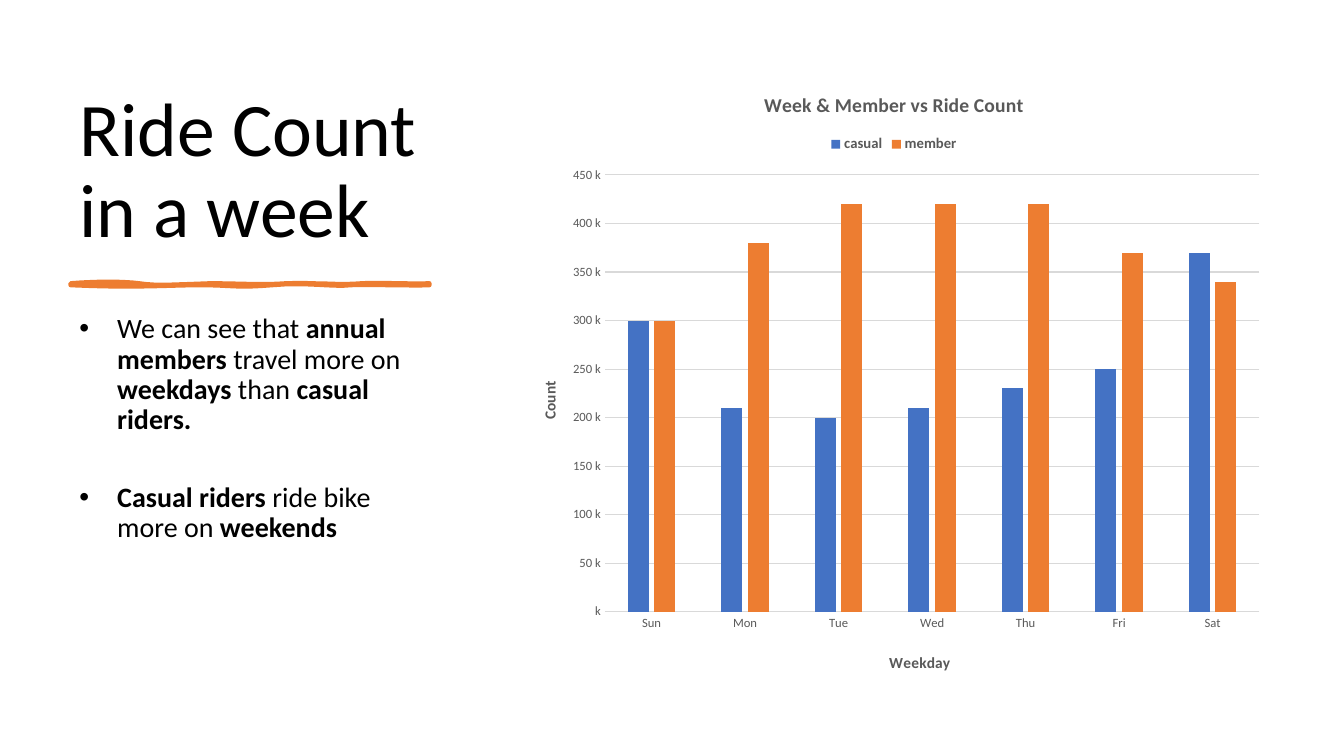
from lxml import etree
from pptx import Presentation
from pptx import util as u
from pptx.chart import data as cd
from pptx.dml.color import RGBColor
from pptx.enum import chart as ce, text as te
from pptx.oxml import ns

PX = 9525  # EMU per px, 96 px to the inch
COLORS = {"text": "000000", "chart_text": "595959", "grid": "D9D9D9",
          "casual": "4472C4", "member": "ED7D31", "rule": "ED7D31"}
DAYS = ["Sun", "Mon", "Tue", "Wed", "Thu", "Fri", "Sat"]
RIDES = {
    "casual": [300000, 210000, 200000, 210000, 230000, 250000, 370000],
    "member": [300000, 380000, 420000, 420000, 420000, 370000, 340000],
}
BULLETS = [
    [("We can see that ", False), ("annual members ", True),
     ("travel more on ", False), ("weekdays", True), (" than ", False),
     ("casual riders.", True)],
    [("Casual riders ", True), ("ride bike more on ", False),
     ("weekends", True)],
]
# Bezier control points of the brush stroke, in tenths of a px
STROKE = [
    (672, 2698), (931, 2678), (1162, 2678), (1325, 2698),
    (1488, 2726), (1699, 2707), (2006, 2698),
    (2314, 2698), (2496, 2717), (2726, 2698),
    (2957, 2688), (3254, 2717), (3446, 2698),
    (3638, 2688), (3955, 2707), (4090, 2698),
    (4090, 2707), (4090, 2717), (4090, 2717),
    (3917, 2726), (3494, 2707), (3341, 2717),
    (3187, 2736), (2918, 2688), (2592, 2717),
    (2256, 2746), (2218, 2717), (1910, 2717),
    (1594, 2717), (1267, 2746), (672, 2717),
]


def rgb(name):
    return RGBColor.from_string(COLORS[name])


def set_font(font, size, color="text", bold=False):
    font.name, font.size, font.bold = "Calibri", u.Pt(size), bold
    font.color.rgb = rgb(color)


def add_text(p, content, **style):
    r = p.add_run()
    r.text = content
    set_font(r.font, **style)


def bezier_points(controls, steps=8):
    """Sample a chain of cubic curves that share their end points."""
    points = [controls[0]]
    for i in range(0, len(controls) - 1, 3):
        for k in range(1, steps + 1):
            t = k / steps
            weights = ((1 - t) ** 3, 3 * t * (1 - t) ** 2,
                       3 * t * t * (1 - t), t ** 3)
            points.append(tuple(
                round(sum(w * c[axis] for w, c in zip(weights, controls[i:i + 4])))
                for axis in (0, 1)))
    return points


def place(element, **fractions):
    """Fix the place of a chart part, in fractions of the chart."""
    layout = element.find(ns.qn("c:layout"))
    if layout is None:
        layout = etree.Element(ns.qn("c:layout"))
        element.insert(0, layout)
    manual = etree.SubElement(layout, ns.qn("c:manualLayout"))
    values = {"xMode": "edge", "yMode": "edge", **fractions}
    if "w" in fractions:
        values = {"layoutTarget": "inner", **values}
    for tag, value in values.items():
        etree.SubElement(manual, ns.qn(f"c:{tag}")).set("val", str(value))


class Deck:
    def __init__(self, width, height):
        self.prs = Presentation()
        self.prs.slide_width, self.prs.slide_height = width * PX, height * PX
        self.s = self.prs.slides.add_slide(self.prs.slide_layouts[1])

    def frame(self, sp, box, anchor):
        """Move a placeholder and return its text frame."""
        sp.left, sp.top, sp.width, sp.height = (v * PX for v in box)
        tf = sp.text_frame
        tf.word_wrap, tf.auto_size = True, te.MSO_AUTO_SIZE.NONE
        tf.vertical_anchor = anchor
        return tf

    def title(self, content, box):
        tf = self.frame(self.s.shapes.title, box, te.MSO_ANCHOR.BOTTOM)
        p = tf.paragraphs[0]
        p.alignment, p.line_spacing = te.PP_ALIGN.LEFT, 0.9
        add_text(p, content, size=54)

    def bullets(self, items, box, indent=36):
        tf = self.frame(self.s.placeholders[1], box, te.MSO_ANCHOR.TOP)
        for i, item in enumerate(items):
            p = tf.add_paragraph() if i else tf.paragraphs[0]
            p.line_spacing, p.space_before, p.space_after = 0.9, u.Pt(0), u.Pt(34)
            pPr = p._p.get_or_add_pPr()
            pPr.set("marL", str(indent * PX))
            pPr.set("indent", str(-indent * PX))
            for content, bold in item:
                add_text(p, content, size=20, bold=bold)

    def brush_stroke(self, controls):
        points = bezier_points(controls)
        builder = self.s.shapes.build_freeform(*points[0], scale=PX / 10)
        builder.add_line_segments(points[1:], close=True)
        sp = builder.convert_to_shape()
        sp.shadow.inherit = False
        sp.fill.solid()
        sp.fill.fore_color.rgb = sp.line.color.rgb = rgb("rule")
        sp.line.width = u.Pt(3)

    def chart_title(self, owner, content, size):
        """Give a chart or an axis its title."""
        owner.has_title = True
        title = owner.chart_title if hasattr(owner, "chart_title") else owner.axis_title
        add_text(title.text_frame.paragraphs[0], content,
                 size=size, color="chart_text", bold=True)
        return title

    def column_chart(self, title, categories, series, box):
        data = cd.CategoryChartData(number_format="General")
        data.categories = categories
        for name, values in series.items():
            data.add_series(name, values)
        chart = self.s.shapes.add_chart(
            ce.XL_CHART_TYPE.COLUMN_CLUSTERED, *(v * PX for v in box), data).chart
        set_font(chart.font, 10)
        self.chart_title(chart, title, 14)
        chart.has_legend = True
        chart.legend.position = ce.XL_LEGEND_POSITION.TOP
        chart.legend.include_in_layout = False
        set_font(chart.legend.font, 10.5, "chart_text", True)

        plot = chart.plots[0]
        plot.gap_width, plot.overlap, plot.vary_by_categories = 219, -27, False
        for ser in plot.series:
            ser.format.fill.solid()
            ser.format.fill.fore_color.rgb = rgb(ser.name)

        days, count = chart.category_axis, chart.value_axis
        for axis in (days, count):
            axis.major_tick_mark = axis.minor_tick_mark = ce.XL_TICK_MARK.NONE
            set_font(axis.tick_labels.font, 9, "chart_text")
        count.minimum_scale, count.maximum_scale, count.major_unit = 0, 450000, 50000
        count.tick_labels.number_format = '#," k"'
        count.tick_labels.number_format_is_linked = False
        count.format.line.fill.background()
        count.has_major_gridlines = True
        for line in (days.format.line, count.major_gridlines.format.line):
            line.color.rgb, line.width = rgb("grid"), u.Pt(0.75)

        place(self.chart_title(days, "Weekday", 11)._element, x=0.49, y=0.94)
        place(self.chart_title(count, "Count", 11)._element, x=0.03, y=0.5)
        place(chart._chartSpace.chart.plotArea, x=0.12, y=0.17, w=0.86, h=0.71)


def main():
    deck = Deck(1280, 720)
    deck.title("Ride Count in a week", (66, 67, 360, 180))
    deck.brush_stroke(STROKE)
    deck.bullets(BULLETS, (66, 295, 360, 358))
    deck.column_chart("Week & Member vs Ride Count", DAYS, RIDES, (489, 67, 725, 586))
    deck.prs.save("out.pptx")


if __name__ == "__main__":
    main()
